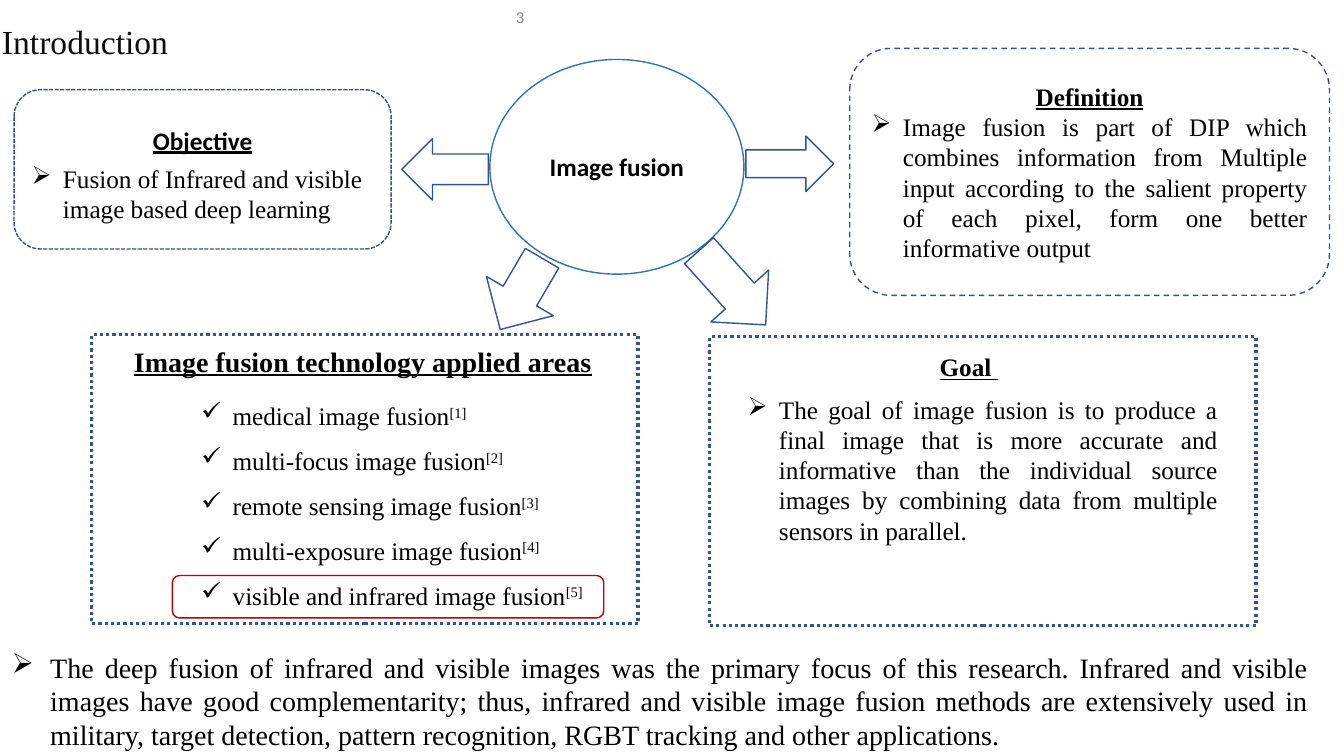
import pptx
import pptx.util
import pptx.dml.color
import pptx.enum.dml
import pptx.enum.shapes
import pptx.enum.text
import lxml.etree

COLORS = {"text": "000000", "title": "0D0D0D", "number": "8C8C8C",
          "outline": "325491", "ellipse": "2E75B6", "highlight": "C00000"}
SERIF, SANS = "Times New Roman", "Calibri"
COLUMNS, ROWS = 133.33, 75
CELL = pptx.util.Inches(0.1)
SHAPE = pptx.enum.shapes.MSO_SHAPE
DASH = pptx.enum.dml.MSO_LINE
ALIGN = pptx.enum.text.PP_ALIGN
ANCHOR = pptx.enum.text.MSO_ANCHOR
AREAS = ["medical image fusion", "multi-focus image fusion", "remote sensing image fusion",
         "multi-exposure image fusion", "visible and infrared image fusion"]


def cells(*counts):
    """Turn counts of grid cells into lengths."""
    return [pptx.util.Emu(round(count * CELL)) for count in counts]


def rgb(name):
    """Look up a named colour."""
    return pptx.dml.color.RGBColor.from_string(COLORS[name])


def outline(slide, kind, box, color="outline", width=1, dash=None, rotation=0):
    """Draw an unfilled shape with a coloured outline."""
    shape = slide.shapes.add_shape(kind, *cells(*box))
    shape.shadow.inherit = False
    shape.fill.background()
    shape.line.color.rgb = rgb(color)
    shape.line.width = pptx.util.Pt(width)
    if dash:
        shape.line.dash_style = dash
    shape.rotation = rotation
    shape.text_frame.word_wrap = True
    shape.text_frame.vertical_anchor = ANCHOR.MIDDLE
    return shape


def text_box(slide, box, wrap=True):
    """Add a text box and return its text frame."""
    frame = slide.shapes.add_textbox(*cells(*box)).text_frame
    frame.word_wrap = wrap
    return frame


def write(frame, text, size=18, font=SERIF, color="text", align=ALIGN.LEFT, heading=False,
          bullet=None, margin=0, indent=0, after=0):
    """Fill the empty first paragraph or append a new one."""
    paragraph = frame.paragraphs[0]
    if paragraph.runs:
        paragraph = frame.add_paragraph()
    paragraph.add_run().text = text
    paragraph.alignment = align
    paragraph.space_after = pptx.util.Pt(after)
    properties = paragraph._p.get_or_add_pPr()
    left, first = cells(margin, indent)
    properties.set("marL", str(left))
    properties.set("indent", str(first))
    if bullet:
        mark = lxml.etree.SubElement(properties, pptx.oxml.ns.qn("a:buChar"))
        mark.set("char", bullet)
    paragraph.font.size = pptx.util.Pt(size)
    paragraph.font.name = font
    paragraph.font.color.rgb = rgb(color)
    if heading:
        paragraph.font.bold = True
        paragraph.font.underline = True
    return paragraph


def write_point(frame, text, align=ALIGN.JUSTIFY, size=18, margin=3.1):
    """Write a paragraph with an arrowhead bullet."""
    return write(frame, text, size, align=align, bullet="➢", margin=margin, indent=-margin)


def add_header(slide, box):
    """Place the title and the slide number."""
    left, top, width, height = box
    frame = text_box(slide, (left + 0.2, top + 0.5, 25.3, height - 0.5))
    frame.margin_left = frame.margin_right = frame.margin_top = frame.margin_bottom = 0
    frame.vertical_anchor = ANCHOR.BOTTOM
    write(frame, "Introduction", 24, color="title", after=6).line_spacing = 0.9
    number = text_box(slide, (left + 47, top, 6, 3.3))
    number.vertical_anchor = ANCHOR.MIDDLE
    write(number, "3", 12, SANS, "number", ALIGN.RIGHT)


def add_hub(slide, box):
    """Draw the central ellipse and the four arrows around it."""
    left, top, width, height = box
    ellipse = outline(slide, SHAPE.OVAL, box, "ellipse")
    label = write(ellipse.text_frame, "Image fusion", font=SANS, align=ALIGN.CENTER)
    label.font.bold = True
    for kind, x, y, length, breadth, rotation in [
            (SHAPE.DOWN_ARROW, -7.5, 6.6, 6.1, 8.6, 90),
            (SHAPE.RIGHT_ARROW, 25.4, 7.6, 8.7, 5.5, 0),
            (SHAPE.RIGHT_ARROW, -1, 19.4, 8.2, 7.7, 120.4),
            (SHAPE.RIGHT_ARROW, 19.1, 18.8, 9.9, 7.7, 48.1)]:
        outline(slide, kind, (left + x, top + y, length, breadth), rotation=rotation)


def add_card(slide, box, dash, title, font, point, align, after=0, drop=0):
    """Draw a rounded card with a heading and one point."""
    frame = outline(slide, SHAPE.ROUNDED_RECTANGLE, box, dash=dash).text_frame
    frame.margin_top = cells(0.5 + drop)[0]
    write(frame, title, font=font, align=ALIGN.CENTER, heading=True, after=after)
    write_point(frame, point, align)


def add_panel(slide, box):
    """Draw a dotted panel."""
    outline(slide, SHAPE.RECTANGLE, box, width=2.25, dash=DASH.ROUND_DOT)


def add_areas(slide, box):
    """List the applied areas and highlight the last one."""
    left, top, width, height = box
    add_panel(slide, box)
    frame = text_box(slide, (left - 0.1, top + 1, width - 0.4, height - 1.6))
    write(frame, "Image fusion technology applied areas", 20, align=ALIGN.JUSTIFY,
          heading=True, indent=3.3, after=12)
    for number, area in enumerate(AREAS, 1):
        paragraph = write(frame, area, align=ALIGN.JUSTIFY, bullet="✓",
                          margin=13.1, indent=-3.1, after=6)
        paragraph.space_before = pptx.util.Pt(6)
        citation = paragraph.add_run()
        citation.text = f"[{number}]"
        citation._r.get_or_add_rPr().set("baseline", "30000")
    for paragraph in frame.paragraphs:
        paragraph.line_spacing = pptx.util.Pt(20)
    outline(slide, SHAPE.ROUNDED_RECTANGLE,
            (left + 8, top + 23.9, 42.8, 4.2), "highlight")


def add_goal(slide, box):
    """Place the goal heading and its point in a dotted panel."""
    left, top, width, height = box
    add_panel(slide, box)
    heading = text_box(slide, (left + 21.8, top + 1, 7.8, 4), wrap=False)
    write(heading, "Goal ", align=ALIGN.CENTER, heading=True)
    body = text_box(slide, (left + 2.8, top + 5.2, 48.6, 16.2))
    write_point(body, "The goal of image fusion is to produce a final image that is more "
                "accurate and informative than the individual source images by combining "
                "data from multiple sensors in parallel.")


def add_summary(slide, box):
    """Write the closing statement."""
    write_point(text_box(slide, box),
                "The deep fusion of infrared and visible images was the primary focus of this "
                "research. Infrared and visible images have good complementarity; thus, infrared "
                "and visible image fusion methods are extensively used in military, target "
                "detection, pattern recognition, RGBT tracking and other applications.",
                size=20, margin=3.8)


def main():
    """Build and save the slide."""
    presentation = pptx.Presentation()
    presentation.slide_width, presentation.slide_height = cells(COLUMNS, ROWS)
    slide = presentation.slides.add_slide(presentation.slide_layouts[6])
    add_header(slide, (0, 0, COLUMNS, 6.1))
    add_hub(slide, (48.6, 5.9, 25.2, 21.3))
    add_card(slide, (1.4, 8.9, 37.4, 15.8), DASH.SQUARE_DOT, "Objective", SANS,
             "Fusion of Infrared and visible image based deep learning",
             ALIGN.LEFT, after=6, drop=1)
    add_card(slide, (84.3, 4.8, 47.6, 24.5), DASH.DASH, "Definition", SERIF,
             "Image fusion is part of DIP which combines information from Multiple input "
             "according to the salient property of each pixel, form one better "
             "informative output", ALIGN.JUSTIFY)
    add_areas(slide, (9.1, 33.2, 54.2, 28.7))
    add_goal(slide, (70.4, 33.4, 54.2, 28.7))
    add_summary(slide, (0.2, 64, 130.6, 11.1))
    presentation.save("out.pptx")


if __name__ == "__main__":
    main()
